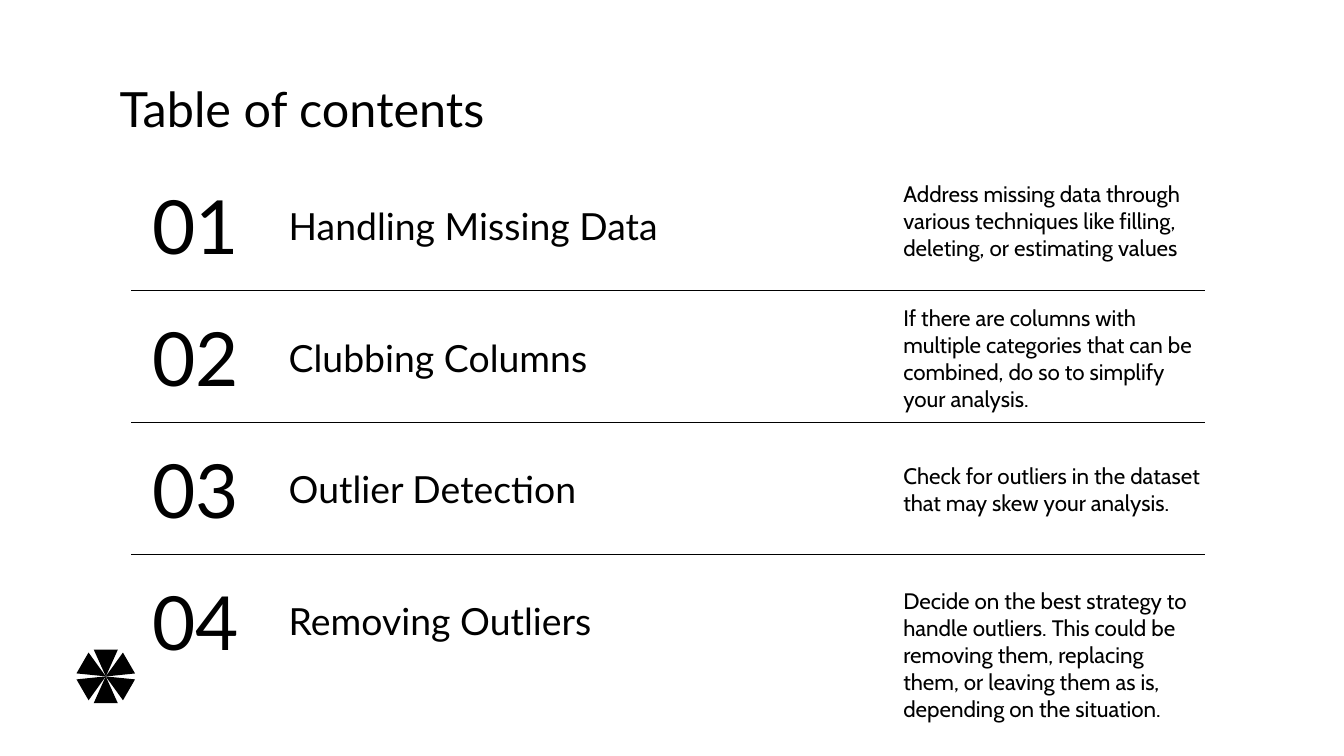
"""Build a table of contents slide with four numbered topics."""
from dataclasses import dataclass
from math import cos, radians, sin

from pptx import Presentation
from pptx.dml.color import RGBColor
from pptx.enum.shapes import MSO_CONNECTOR, MSO_SHAPE
from pptx.enum.text import MSO_ANCHOR, MSO_AUTO_SIZE, PP_ALIGN
from pptx.oxml.ns import qn
from pptx.util import Inches, Pt

LEFT, CENTER = PP_ALIGN.LEFT, PP_ALIGN.CENTER
TOP, MIDDLE = MSO_ANCHOR.TOP, MSO_ANCHOR.MIDDLE
NO_FIT = MSO_AUTO_SIZE.NONE
TRIANGLE, STRAIGHT = MSO_SHAPE.ISOSCELES_TRIANGLE, MSO_CONNECTOR.STRAIGHT

COLUMNS, ROWS = 100, 56.25
PITCH = 9.82

TOPICS = [
    ("Handling Missing Data",
     "Address missing data through various techniques like filling, deleting, or estimating values",
     (66.23, 12.55, 23.5, 7.7)),
    ("Clubbing Columns",
     "If there are columns with multiple categories that can be combined, do so to simplify your analysis.",
     (66.23, 22.65, 24.6, 8)),
    ("Outlier Detection",
     "Check for outliers in the dataset that may skew your analysis.",
     (66.23, 33.25, 24.6, 6.3)),
    ("Removing Outliers",
     "Decide on the best strategy to handle outliers. This could be removing them, replacing them, "
     "or leaving them as is, depending on the situation.",
     (66.23, 43.05, 23.5, 11.3)),
]


@dataclass(frozen=True)
class Theme:
    ink: RGBColor = RGBColor(0, 0, 0)
    heading_font: str = "Lato"
    body_font: str = "Cabin"
    title: int = 26
    number: int = 40
    topic: int = 20
    body: int = 12
    rule: float = 0.75


def write_text(sp, text, *, size, font, color, align=LEFT, anchor=MIDDLE):
    tf = sp.text_frame
    tf.word_wrap = True
    tf.auto_size = NO_FIT
    tf.vertical_anchor = anchor
    tf.margin_left = tf.margin_right = tf.margin_top = tf.margin_bottom = Inches(0.1)
    p = tf.paragraphs[0]
    p.alignment = align
    r = p.add_run()
    r.text = text
    r.font.size = Pt(size)
    r.font.name = font
    r.font.color.rgb = color


class SlideBuilder:
    def __init__(self, prs, theme):
        self.theme = theme
        self.col = prs.slide_width / COLUMNS
        self.row = prs.slide_height / ROWS
        self.slide = prs.slides.add_slide(prs.slide_layouts[5])

    def box(self, x, y, w, h):
        return (round(x * self.col), round(y * self.row),
                round(w * self.col), round(h * self.row))

    def title(self, text, area):
        sp = self.slide.shapes.title
        sp.left, sp.top, sp.width, sp.height = self.box(*area)
        write_text(sp, text, size=self.theme.title, font=self.theme.heading_font,
                   color=self.theme.ink, anchor=TOP)

    def text(self, text, area, **fmt):
        sp = self.slide.shapes.add_textbox(*self.box(*area))
        write_text(sp, text, color=self.theme.ink, **fmt)

    def rule(self, x1, x2, y):
        left, top, width, _ = self.box(x1, y, x2 - x1, 0)
        line = self.slide.shapes.add_connector(STRAIGHT, left, top, left + width, top)
        line.line.color.rgb = self.theme.ink
        line.line.width = Pt(self.theme.rule)
        sp_pr = line._element.spPr
        sp_pr.append(sp_pr.makeelement(qn("a:effectLst"), {}))

    def pinwheel(self, cx, cy, w, h):
        group = self.slide.shapes.add_group_shape()
        for angle in range(0, 360, 60):
            x = cx - sin(radians(angle)) * h / 2 - w / 2
            y = cy + cos(radians(angle)) * h / 2 - h / 2
            sp = group.shapes.add_shape(TRIANGLE, *self.box(x, y, w, h))
            sp.rotation = angle
            sp.shadow.inherit = False
            sp.fill.solid()
            sp.fill.fore_color.rgb = self.theme.ink
            sp.line.fill.background()


def main():
    prs = Presentation()
    prs.slide_width = Inches(10)
    prs.slide_height = prs.slide_width * 9 // 16
    theme = Theme()
    page = SlideBuilder(prs, theme)
    page.title("Table of contents", (7.9, 4.9, 84.3, 6.3))
    for i, (topic, detail, area) in enumerate(TOPICS):
        y = i * PITCH
        page.text(f"{i + 1:02}", (10.3, 12.6 + y, 8.5, 8.3),
                  size=theme.number, font=theme.heading_font, align=CENTER)
        page.text(topic, (20.5, 14.6 + y, 42.4, 4.3),
                  size=theme.topic, font=theme.heading_font)
        page.text(detail, area, size=theme.body, font=theme.body_font)
        if i:
            page.rule(9.76, 89.66, 11.82 + y)
    page.pinwheel(7.87, 50.33, 1.8, 2)
    prs.save("out.pptx")


if __name__ == "__main__":
    main()
